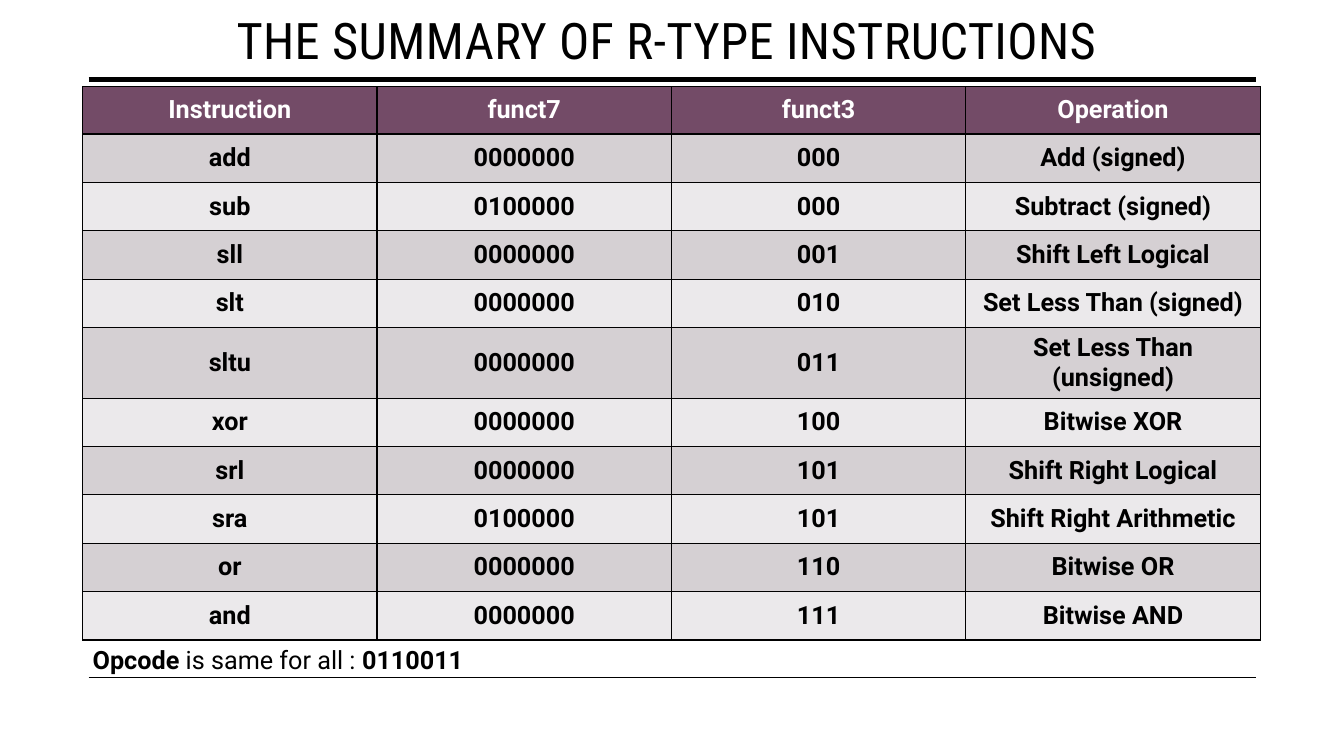
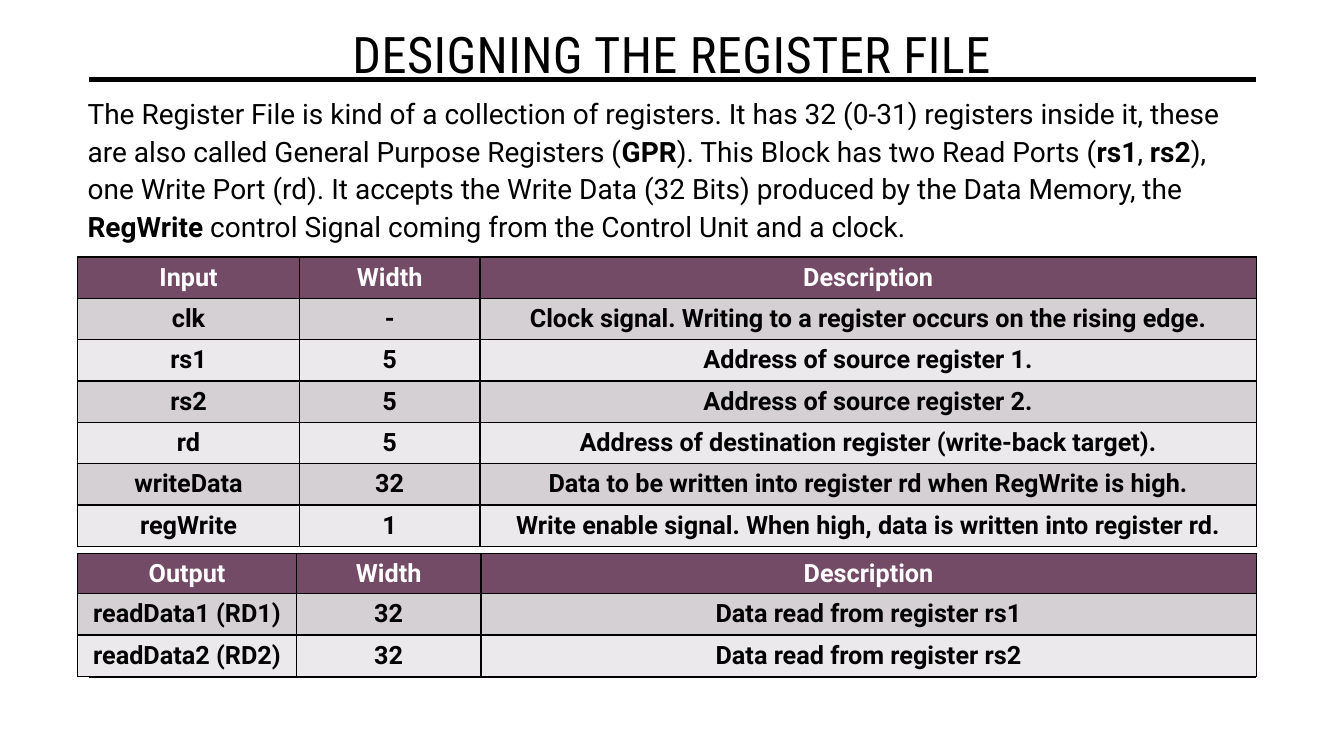
from lxml import etree
from pptx import Presentation
from pptx.dml.color import RGBColor
from pptx.enum.shapes import MSO_CONNECTOR
from pptx.enum.text import MSO_ANCHOR, PP_ALIGN
from pptx.oxml.ns import qn
from pptx.util import Pt

PX = 9144  # EMU per px, 100 px to the inch
BLACK = RGBColor(0x00, 0x00, 0x00)
WHITE = RGBColor(0xFF, 0xFF, 0xFF)
PLUM = RGBColor(0x73, 0x4B, 0x67)
BANDS = (RGBColor(0xD5, 0xD0, 0xD3), RGBColor(0xEB, 0xE9, 0xEB))
FONT, TITLE_FONT = "Roboto", "Roboto Condensed"
CENTER, LEFT = PP_ALIGN.CENTER, PP_ALIGN.LEFT
MIDDLE, TOP = MSO_ANCHOR.MIDDLE, MSO_ANCHOR.TOP
STRAIGHT = MSO_CONNECTOR.STRAIGHT


class Deck:
    def __init__(self):
        self.prs = Presentation()
        self.prs.slide_width, self.prs.slide_height = 1333 * PX, 750 * PX
        self.s = None

    def slide(self, title, x, y):
        """Start a slide with the shared rules and a title."""
        self.s = self.prs.slides.add_slide(self.prs.slide_layouts[6])
        self.rule(79, 3.5)
        self.rule(672, 1)
        tf = self.text(title, x, y, 1169, 65, 36, TITLE_FONT, CENTER)
        tf.margin_top = 9 * PX
        for r in tf.paragraphs[0].runs:
            r._r.get_or_add_rPr().set("spc", "30")

    def rule(self, y, weight):
        line = self.s.shapes.add_connector(
            STRAIGHT, 88 * PX, y * PX, 1246 * PX, y * PX)
        line.line.color.rgb = BLACK
        line.line.width = Pt(weight)
        etree.SubElement(line._element.spPr, qn("a:effectLst"))

    def style(self, r, size, color=BLACK, bold=False, font=FONT):
        r.font.name, r.font.size, r.font.bold = font, Pt(size), bold
        r.font.color.rgb = color

    def text(self, text, x, y, w, h, size, font=FONT, align=LEFT, spacing=1.0):
        """Add a text box; parts between ** marks are bold."""
        sp = self.s.shapes.add_textbox(x * PX, y * PX, w * PX, h * PX)
        tf = sp.text_frame
        tf.word_wrap, tf.vertical_anchor = True, TOP
        p = tf.paragraphs[0]
        p.alignment, p.line_spacing = align, spacing
        for i, part in enumerate(text.split("**")):
            if part:
                r = p.add_run()
                r.text = part
                self.style(r, size, bold=i % 2 == 1, font=font)
        return tf

    def border(self, cell):
        tcPr = cell._tc.get_or_add_tcPr()
        for side in ("a:lnL", "a:lnR", "a:lnT", "a:lnB"):
            ln = etree.SubElement(tcPr, qn(side), w=str(Pt(1)))
            fill = etree.SubElement(ln, qn("a:solidFill"))
            etree.SubElement(fill, qn("a:srgbClr"), val=str(BLACK))

    def table(self, rows, x, y, widths, heights):
        """Add a table with a plum header and banded rows."""
        table = self.s.shapes.add_table(
            len(rows), len(widths), x * PX, y * PX,
            sum(widths) * PX, sum(heights) * PX).table
        for col, width in zip(table.columns, widths):
            col.width = width * PX
        for i, (row, height) in enumerate(zip(rows, heights)):
            table.rows[i].height = height * PX
            for j, value in enumerate(row):
                cell = table.cell(i, j)
                self.border(cell)
                cell.fill.solid()
                cell.fill.fore_color.rgb = BANDS[(i - 1) % 2] if i else PLUM
                cell.vertical_anchor = MIDDLE
                p = cell.text_frame.paragraphs[0]
                p.text = value
                p.alignment = CENTER
                self.style(p.runs[0], 18, BLACK if i else WHITE, True)


INSTRUCTIONS = [
    ("Instruction", "funct7", "funct3", "Operation"),
    ("add", "0000000", "000", "Add (signed)"),
    ("sub", "0100000", "000", "Subtract (signed)"),
    ("sll", "0000000", "001", "Shift Left Logical"),
    ("slt", "0000000", "010", "Set Less Than (signed)"),
    ("sltu", "0000000", "011", "Set Less Than (unsigned)"),
    ("xor", "0000000", "100", "Bitwise XOR"),
    ("srl", "0000000", "101", "Shift Right Logical"),
    ("sra", "0100000", "101", "Shift Right Arithmetic"),
    ("or", "0000000", "110", "Bitwise OR"),
    ("and", "0000000", "111", "Bitwise AND"),
]
INPUTS = [
    ("Input", "Width", "Description"),
    ("clk", "-", "Clock signal. Writing to a register occurs on the rising edge."),
    ("rs1", "5", "Address of source register 1."),
    ("rs2", "5", "Address of source register 2."),
    ("rd", "5", "Address of destination register (write-back target)."),
    ("writeData", "32", "Data to be written into register rd when RegWrite is high."),
    ("regWrite", "1", "Write enable signal. When high, data is written into register rd."),
]
OUTPUTS = [
    ("Output", "Width", "Description"),
    ("readData1 (RD1)", "32", "Data read from register rs1"),
    ("readData2 (RD2)", "32", "Data read from register rs2"),
]
REGISTER_FILE = (
    "The Register File is kind of a collection of registers. It has 32 (0-31) "
    "registers inside it, these are also called General Purpose Registers "
    "(**GPR**). This Block has two Read Ports (**rs1**, **rs2**), one Write Port "
    "(rd). It accepts the Write Data (32 Bits) produced by the Data Memory, the "
    "**RegWrite** control Signal coming from the Control Unit and a clock.")


def main():
    deck = Deck()

    # R-type instructions
    deck.slide("THE SUMMARY OF R-TYPE INSTRUCTIONS", 77, 0)
    heights = [47] + [48] * 4 + [70] + [48] * 5
    deck.table(INSTRUCTIONS, 82, 86, [292] * 4, heights)
    deck.text("**Opcode** is same for all : **0110011**", 82, 634, 1169, 40, 18)

    # Register file
    deck.slide("DESIGNING THE REGISTER FILE", 82, 14)
    deck.text(REGISTER_FILE, 77, 87, 1169, 160, 20, spacing=1.12)
    deck.table(INPUTS, 77, 255, [220, 179, 770], [41] * 7)
    deck.table(OUTPUTS, 77, 549, [217, 183, 769], [39, 41, 41])

    deck.prs.save("out.pptx")


if __name__ == "__main__":
    main()
